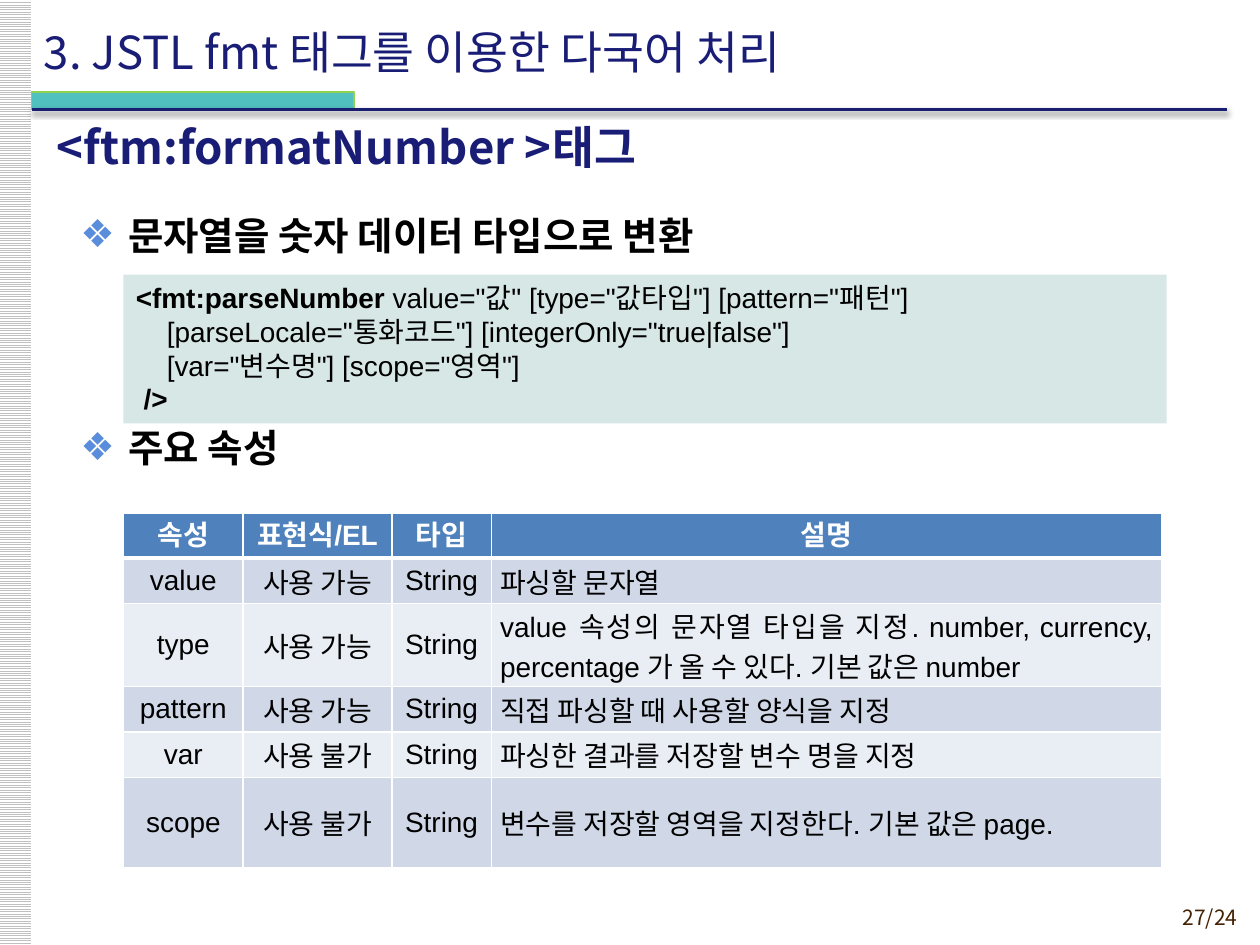
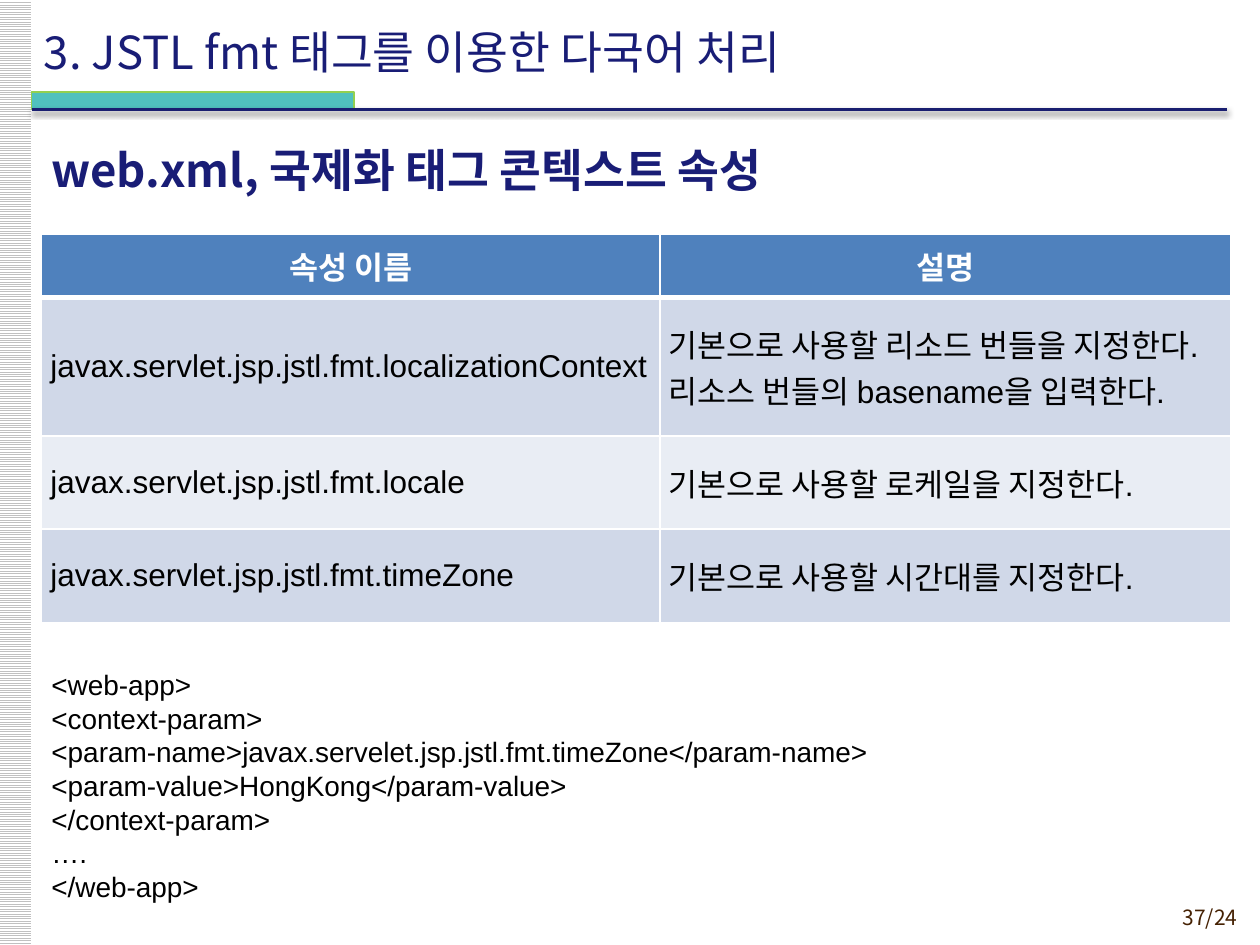
from dataclasses import dataclass

from lxml import etree
from pptx import Presentation
from pptx.dml.color import RGBColor
from pptx.enum.dml import MSO_PATTERN
from pptx.enum.shapes import MSO_CONNECTOR, MSO_SHAPE
from pptx.enum.text import MSO_ANCHOR, PP_ALIGN
from pptx.oxml.ns import qn
from pptx.util import Inches, Pt

RECTANGLE = MSO_SHAPE.RECTANGLE
STRAIGHT = MSO_CONNECTOR.STRAIGHT
LIGHT_STRIPES = MSO_PATTERN.LIGHT_HORIZONTAL
TOP, MIDDLE = MSO_ANCHOR.TOP, MSO_ANCHOR.MIDDLE
LEFT, CENTER = PP_ALIGN.LEFT, PP_ALIGN.CENTER
RIGHT, JUSTIFY = PP_ALIGN.RIGHT, PP_ALIGN.JUSTIFY

SLIDE_WIDTH, SLIDE_HEIGHT = Inches(10), Inches(7.5)
GRID_COLUMNS, GRID_ROWS = 100, 75
LATIN, KOREAN = "Arial", "Noto Sans CJK KR"

COLORS = {
    "white": "FFFFFF", "black": "000000", "stripe": "C0C0C0",
    "title": "191D76", "rule": "191E70", "accent": "50C1BE",
    "accent_edge": "92D050", "page": "452103", "bullet": "5A8DDC",
    "code": "D6E7E6", "header": "4F81BD", "odd": "D0D8E8", "even": "E9EDF4",
}


@dataclass(frozen=True)
class Area:
    column: float
    row: float
    columns: float
    rows: float

    def box(self) -> tuple[int, int, int, int]:
        return (across(self.column), down(self.row),
                across(self.columns), down(self.rows))


@dataclass(frozen=True)
class TextStyle:
    size: float
    color: str = "black"
    face: str = LATIN
    bold: bool = False
    align: int = LEFT
    anchor: int = TOP
    line_points: float = 0


@dataclass(frozen=True)
class Span:
    text: str
    bold: bool


@dataclass(frozen=True)
class Grid:
    column: float
    row: float
    columns: tuple[float, ...]
    rows: tuple[float, ...]
    aligns: tuple[int, ...]
    size: float
    header_anchor: int
    content: tuple[tuple[str, ...], ...]


TITLE = TextStyle(26, "title", KOREAN, anchor=MIDDLE)
SUBTITLE = TextStyle(26, "title", KOREAN, True, anchor=MIDDLE)
PAGE = TextStyle(12, "page", KOREAN, align=RIGHT)
HEADING = TextStyle(22, bold=True)
CODE = TextStyle(16, line_points=19.2)

PARSE_SYNTAX = (
    (Span("<fmt:parseNumber ", True),
     Span('value="값" [type="값타입"] [pattern="패턴"]', False)),
    '    [parseLocale="통화코드"] [integerOnly="true|false"]',
    '    [var="변수명"] [scope="영역"]',
    (Span(" />", True),),
)

WEB_XML = (
    "<web-app>",
    "<context-param>",
    "<param-name>javax.servelet.jsp.jstl.fmt.timeZone</param-name>",
    "<param-value>HongKong</param-value>",
    "</context-param>",
    "….",
    "</web-app>",
)

ATTRIBUTES = Grid(
    9.8, 40.7, (9.5, 11.8, 7.9, 53.2), (3.6, 3.6, 6.6, 3.6, 3.6, 7.2),
    (CENTER, CENTER, CENTER, JUSTIFY), 16, TOP,
    (
        ("속성", "표현식/EL", "타입", "설명"),
        ("value", "사용 가능", "String", "파싱할 문자열"),
        ("type", "사용 가능", "String",
         "value 속성의 문자열 타입을 지정. number, currency, "
         "percentage 가 올 수 있다. 기본 값은 number"),
        ("pattern", "사용 가능", "String", "직접 파싱할 때 사용할 양식을 지정"),
        ("var", "사용 불가", "String", "파싱한 결과를 저장할 변수 명을 지정"),
        ("scope", "사용 불가", "String",
         "변수를 저장할 영역을 지정한다. 기본 값은 page."),
    ),
)

CONTEXT_ATTRIBUTES = Grid(
    3.3, 18.6, (49.1, 45.3), (5, 11, 7.4, 7.4), (LEFT, LEFT), 18, MIDDLE,
    (
        ("속성 이름", "설명"),
        ("javax.servlet.jsp.jstl.fmt.localizationContext",
         "기본으로 사용할 리소드 번들을 지정한다.\n"
         "리소스 번들의 basename을 입력한다."),
        ("javax.servlet.jsp.jstl.fmt.locale",
         "기본으로 사용할 로케일을 지정한다."),
        ("javax.servlet.jsp.jstl.fmt.timeZone",
         "기본으로 사용할 시간대를 지정한다."),
    ),
)


def across(columns: float) -> int:
    return round(SLIDE_WIDTH * columns / GRID_COLUMNS)


def down(rows: float) -> int:
    return round(SLIDE_HEIGHT * rows / GRID_ROWS)


def rgb(name: str) -> RGBColor:
    return RGBColor.from_string(COLORS[name])


def apply_format(target, values: dict) -> None:
    for attribute, value in values.items():
        setattr(target, attribute, value)


def add_color(parent, name: str):
    return etree.SubElement(parent, qn("a:srgbClr"), val=COLORS[name])


def write(frame, lines, style: TextStyle) -> None:
    for index, line in enumerate(lines):
        paragraph = frame.paragraphs[0] if index == 0 else frame.add_paragraph()
        paragraph.alignment = style.align
        if style.line_points:
            paragraph.line_spacing = Pt(style.line_points)
        spans = (Span(line, style.bold),) if isinstance(line, str) else line
        for span in spans:
            run = paragraph.add_run()
            run.text = span.text
            apply_format(run.font, {"size": Pt(style.size), "bold": span.bold,
                                    "name": style.face})
            run.font.color.rgb = rgb(style.color)
            etree.SubElement(run.font._element, qn("a:ea"), typeface=KOREAN)


def add_text(slide, area: Area, lines, style: TextStyle):
    frame = slide.shapes.add_textbox(*area.box()).text_frame
    apply_format(frame, {"word_wrap": True, "vertical_anchor": style.anchor})
    write(frame, lines, style)
    return frame


def add_block(slide, area: Area, fill: str = ""):
    block = slide.shapes.add_shape(RECTANGLE, *area.box())
    block.shadow.inherit = False
    block.line.fill.background()
    if fill:
        block.fill.solid()
        block.fill.fore_color.rgb = rgb(fill)
    return block


def add_rule(slide) -> None:
    rule = slide.shapes.add_connector(
        STRAIGHT, across(2.5), down(8.7), across(97.4), down(8.7))
    rule.line.color.rgb = rgb("rule")
    rule.line.width = Pt(2)
    effects = etree.SubElement(rule._element.spPr, qn("a:effectLst"))
    shadow = etree.SubElement(
        effects, qn("a:outerShdw"), blurRad=str(Pt(3.1)), dist=str(Pt(1.6)),
        dir="5400000", rotWithShape="0")
    etree.SubElement(add_color(shadow, "black"), qn("a:alpha"), val="38000")


def add_bullets(frame, gap: float) -> None:
    for index, paragraph in enumerate(frame.paragraphs):
        properties = paragraph._p.get_or_add_pPr()
        apply_indent = {"marL": across(3.8), "indent": -across(3.8)}
        for key, value in apply_indent.items():
            properties.set(key, str(value))
        add_color(etree.SubElement(properties, qn("a:buClr")), "bullet")
        etree.SubElement(properties, qn("a:buFont"), typeface=LATIN)
        etree.SubElement(properties, qn("a:buChar"), char="❖")
        if index:
            paragraph.space_before = Pt(gap)


def add_borders(cell, row: int) -> None:
    properties = cell._tc.get_or_add_tcPr()
    widths = {"lnL": 1, "lnR": 1, "lnT": 3 if row == 1 else 1,
              "lnB": 3 if row == 0 else 1}
    for position, (side, width) in enumerate(widths.items()):
        border = etree.Element(qn(f"a:{side}"), w=str(Pt(width)))
        add_color(etree.SubElement(border, qn("a:solidFill")), "white")
        properties.insert(position, border)


def add_grid(slide, grid: Grid) -> None:
    area = Area(grid.column, grid.row, sum(grid.columns), sum(grid.rows))
    table = slide.shapes.add_table(
        len(grid.rows), len(grid.columns), *area.box()).table
    table.horz_banding = False
    for column, width in zip(table.columns, grid.columns):
        column.width = across(width)
    for row, height in zip(table.rows, grid.rows):
        row.height = down(height)
    for row, texts in enumerate(grid.content):
        heading = row == 0
        fill = "header" if heading else ("even", "odd")[row % 2]
        for column, text in enumerate(texts):
            cell = table.cell(row, column)
            apply_format(cell, {
                "margin_left": across(0.7), "margin_right": across(0.7),
                "margin_top": 0, "margin_bottom": 0,
                "vertical_anchor": grid.header_anchor if heading else MIDDLE,
            })
            cell.fill.solid()
            cell.fill.fore_color.rgb = rgb(fill)
            add_borders(cell, row)
            style = TextStyle(
                grid.size, "white" if heading else "black", bold=heading,
                align=CENTER if heading else grid.aligns[column])
            write(cell.text_frame, text.split("\n"), style)


def start_slide(deck, page: str, subtitle: str, subtitle_area: Area):
    slide = deck.slides.add_slide(deck.slide_layouts[6])
    margin = add_block(slide, Area(0, 0, 2.5, GRID_ROWS))
    margin.fill.patterned()
    margin.fill.pattern = LIGHT_STRIPES
    margin.fill.fore_color.rgb = rgb("stripe")
    margin.fill.back_color.rgb = rgb("white")
    add_text(slide, Area(88.6, 71.3, 10.6, 2.9), (page,), PAGE)
    accent = add_block(slide, Area(2.5, 7.3, 25.6, 1.4), "accent")
    accent.line.color.rgb = rgb("accent_edge")
    accent.line.width = Pt(0.75)
    add_rule(slide)
    add_text(slide, Area(2.5, 0.9, 82.7, 6.3),
             ("3. JSTL fmt 태그를 이용한 다국어 처리",), TITLE)
    add_text(slide, subtitle_area, (subtitle,), SUBTITLE)
    return slide


def build_format_number(deck) -> None:
    slide = start_slide(deck, "27/24", "<ftm:formatNumber >태그",
                        Area(3.5, 8.4, 94.5, 6.4))
    headings = add_text(slide, Area(5.4, 16.3, 90, 24),
                        ("문자열을 숫자 데이터 타입으로 변환", "주요 속성"), HEADING)
    add_bullets(headings, 95)
    syntax = add_block(slide, Area(9.8, 21.8, 82.8, 11.8), "code").text_frame
    apply_format(syntax, {"word_wrap": True, "vertical_anchor": TOP})
    write(syntax, PARSE_SYNTAX, CODE)
    add_grid(slide, ATTRIBUTES)


def build_web_xml(deck) -> None:
    slide = start_slide(deck, "37/24", "web.xml, 국제화 태그 콘텍스트 속성",
                        Area(3.1, 10.2, 94.5, 6.4))
    add_grid(slide, CONTEXT_ATTRIBUTES)
    add_text(slide, Area(3.1, 52.5, 69.5, 19.9), WEB_XML, CODE)


def main() -> None:
    deck = Presentation()
    apply_format(deck, {"slide_width": SLIDE_WIDTH,
                        "slide_height": SLIDE_HEIGHT})
    build_format_number(deck)
    build_web_xml(deck)
    deck.save("out.pptx")


if __name__ == "__main__":
    main()
